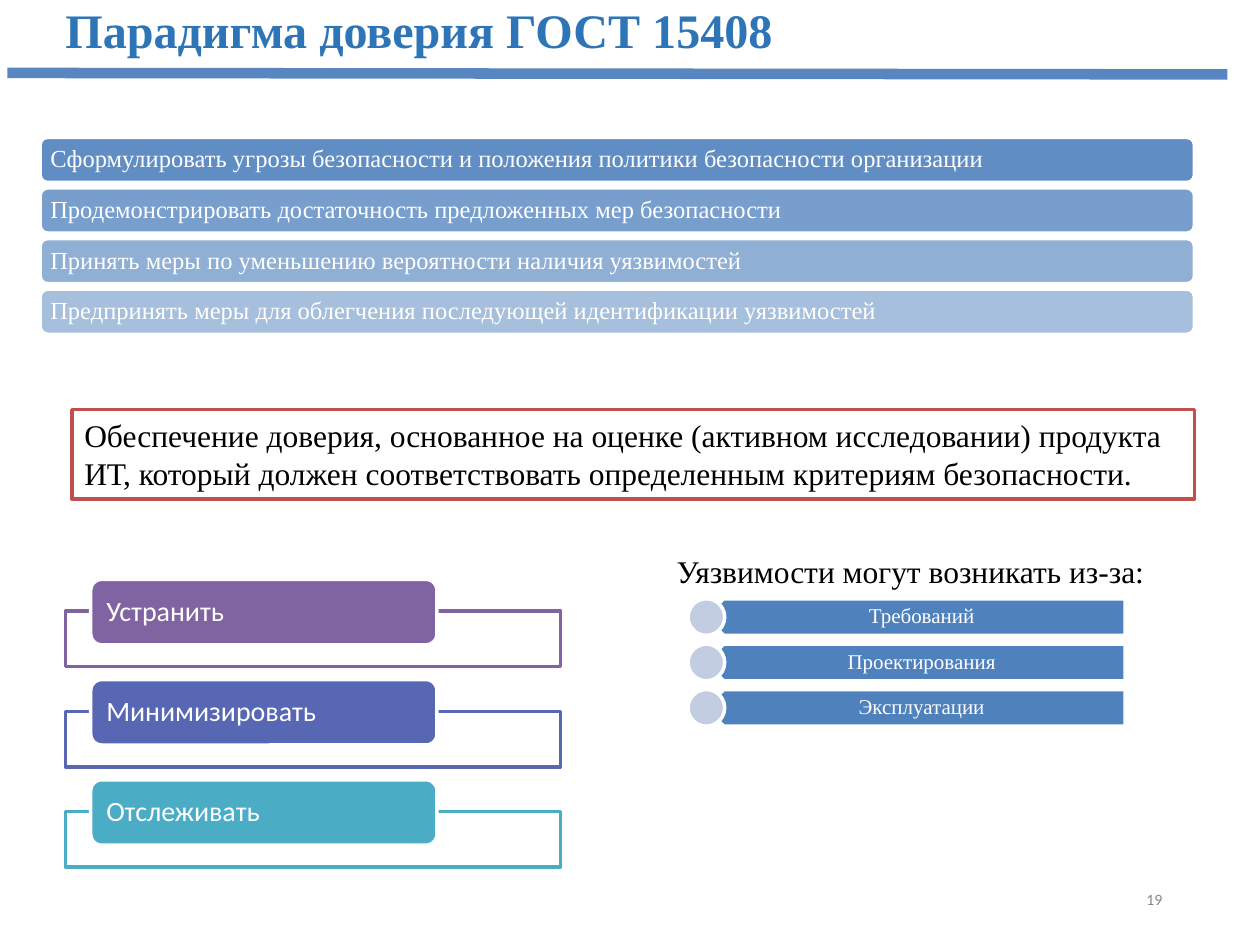
from dataclasses import dataclass

from lxml import etree
from pptx import Presentation
from pptx.dml.color import RGBColor
from pptx.enum.shapes import MSO_CONNECTOR, MSO_SHAPE
from pptx.enum.text import MSO_ANCHOR, PP_ALIGN
from pptx.oxml.ns import qn
from pptx.util import Cm, Pt

RECT = MSO_SHAPE.RECTANGLE
ROUNDED = MSO_SHAPE.ROUNDED_RECTANGLE
PENTAGON = MSO_SHAPE.PENTAGON
OVAL = MSO_SHAPE.OVAL
STRAIGHT = MSO_CONNECTOR.STRAIGHT
TOP, MIDDLE = MSO_ANCHOR.TOP, MSO_ANCHOR.MIDDLE
LEFT, CENTER = PP_ALIGN.LEFT, PP_ALIGN.CENTER

SERIF, SANS = "Times New Roman", "Calibri"
COLORS = {
    "title": "2D75B6",
    "rule": "5786C0",
    "blue": "4F81BD",
    "pale": "C2CDE1",
    "red": "C0504D",
    "violet": "8064A2",
    "indigo": "5767B4",
    "teal": "4BACC6",
    "gray": "888888",
    "white": "FFFFFF",
    "black": "000000",
}


@dataclass(frozen=True)
class Box:
    """Place and size in centimetres."""

    left: float
    top: float
    width: float
    height: float

    def lengths(self) -> tuple:
        """Return the four values as slide lengths."""
        return Cm(self.left), Cm(self.top), Cm(self.width), Cm(self.height)


@dataclass(frozen=True)
class Style:
    """Look of one text block, with insets in centimetres."""

    size: float
    font: str = SERIF
    color: str = "white"
    bold: bool = False
    align: int = LEFT
    anchor: int = MIDDLE
    insets: tuple = (0.25, 0.13, 0.25, 0.13)
    spacing: object = 0.9
    wrap: bool = True


@dataclass(frozen=True)
class Step:
    """One trust measure and the opacity of its bar in percent."""

    text: str
    opacity: int


@dataclass(frozen=True)
class Action:
    """One way to treat a vulnerability and its colour."""

    text: str
    color: str


STEPS = (
    Step("Сформулировать угрозы безопасности и положения политики безопасности организации", 90),
    Step("Продемонстрировать достаточность предложенных мер безопасности", 77),
    Step("Принять меры по уменьшению вероятности наличия уязвимостей", 63),
    Step("Предпринять меры для облегчения последующей идентификации уязвимостей", 50),
)
ACTIONS = (
    Action("Устранить", "violet"),
    Action("Минимизировать", "indigo"),
    Action("Отслеживать", "teal"),
)
SOURCES = ("Требований", "Проектирования", "Эксплуатации")
DEFINITION = (
    "Обеспечение доверия, основанное на оценке (активном исследовании) продукта ИТ, "
    "который должен соответствовать определенным критериям безопасности."
)

TITLE_STYLE = Style(27.5, color="title", bold=True, anchor=TOP, insets=(0, 0.1, 0, 0), spacing=1.0)
NUMBER_STYLE = Style(9, SANS, "gray", anchor=TOP, insets=(0.2, 0, 0, 0), spacing=Pt(9.6), wrap=False)
BODY_STYLE = Style(18, color="black", anchor=TOP, spacing=1.0)
HEADING_STYLE = Style(18, color="black", anchor=TOP, spacing=1.0, wrap=False)
STEP_STYLE = Style(14, insets=(0.16, 0.1, 0.16, 0.1))
ACTION_STYLE = Style(16, SANS, insets=(0.25, 0, 0.25, 0))
SOURCE_STYLE = Style(12, align=CENTER, insets=(0.33, 0.13, 0.23, 0.13))


def rgb(name: str) -> RGBColor:
    """Look up a named colour."""
    return RGBColor.from_string(COLORS[name])


def write(shape, text: str, style: Style) -> None:
    """Put one styled paragraph into a shape."""
    frame = shape.text_frame
    frame.word_wrap = style.wrap
    frame.vertical_anchor = style.anchor
    frame.margin_left, frame.margin_top, frame.margin_right, frame.margin_bottom = map(Cm, style.insets)
    paragraph = frame.paragraphs[0]
    paragraph.text = text
    paragraph.alignment = style.align
    paragraph.line_spacing = style.spacing
    paragraph.font.name = style.font
    paragraph.font.size = Pt(style.size)
    paragraph.font.bold = style.bold
    paragraph.font.color.rgb = rgb(style.color)


def add_label(slide, box: Box, text: str, style: Style):
    """Add a text box and return it."""
    label = slide.shapes.add_textbox(*box.lengths())
    write(label, text, style)
    return label


def add_figure(slide, kind: int, box: Box, fill: str, line: str = "white", opacity: int = 100):
    """Add a filled and outlined preset shape and return it."""
    figure = slide.shapes.add_shape(kind, *box.lengths())
    figure.shadow.inherit = False
    figure.fill.solid()
    figure.fill.fore_color.rgb = rgb(fill)
    figure.line.color.rgb = rgb(line)
    figure.line.width = Pt(2)
    if opacity < 100:
        tone = figure.fill._xPr.find(qn("a:solidFill"))[0]
        etree.SubElement(tone, qn("a:alpha"), val=str(opacity * 1000))
    return figure


def add_rule(slide) -> None:
    """Draw the thick line below the title."""
    rule = slide.shapes.add_connector(STRAIGHT, Cm(0.15), Cm(1.47), Cm(24.74), Cm(1.5))
    rule.line.color.rgb = rgb("rule")
    rule.line.width = Pt(6)
    etree.SubElement(rule._element.spPr, qn("a:effectLst"))


def add_step(slide, row: int, step: Step) -> None:
    """Draw one full-width bar of the measures list."""
    bar = add_figure(slide, ROUNDED, Box(0.81, 2.77 + 1.02 * row, 23.27, 0.91), "blue", opacity=step.opacity)
    write(bar, step.text, STEP_STYLE)


def add_action(slide, row: int, action: Action) -> None:
    """Draw an outlined panel with its coloured tab."""
    top = 11.68 + 2.02 * row
    add_figure(slide, RECT, Box(1.32, top + 0.64, 9.98, 1.12), "white", action.color, 90)
    tab = add_figure(slide, ROUNDED, Box(1.83, top, 6.98, 1.32), action.color)
    write(tab, action.text, ACTION_STYLE)


def add_source(slide, row: int, text: str) -> None:
    """Draw one left-pointing plate with its caption and circle."""
    top, height = 12.07 + 0.915 * row, 0.74
    plate = add_figure(slide, PENTAGON, Box(14.22, top, 8.46, height), "blue")
    plate.rotation = 180
    add_label(slide, Box(14.4, top, 8.26, height), text, SOURCE_STYLE)
    add_figure(slide, OVAL, Box(13.87, top, height, height), "pale")


def main() -> None:
    """Build the slide and save it."""
    deck = Presentation()
    deck.slide_width, deck.slide_height = Cm(25.4), Cm(19.05)
    slide = deck.slides.add_slide(deck.slide_layouts[6])

    title = add_label(slide, Box(1.32, -0.1, 16.46, 1.22), "Парадигма доверия ГОСТ 15408", TITLE_STYLE)
    title.text_frame.paragraphs[0].space_before = Pt(1.3)
    add_rule(slide)
    add_label(slide, Box(22.91, 17.98, 0.66, 0.48), "19", NUMBER_STYLE)

    for row, step in enumerate(STEPS):
        add_step(slide, row, step)
    definition = add_figure(slide, RECT, Box(1.45, 8.26, 22.63, 1.8), "white", "red")
    write(definition, DEFINITION, BODY_STYLE)
    for row, action in enumerate(ACTIONS):
        add_action(slide, row, action)
    add_label(slide, Box(13.39, 11, 10.13, 1.02), "Уязвимости могут возникать из-за:", HEADING_STYLE)
    for row, source in enumerate(SOURCES):
        add_source(slide, row, source)

    deck.save("out.pptx")


if __name__ == "__main__":
    main()
